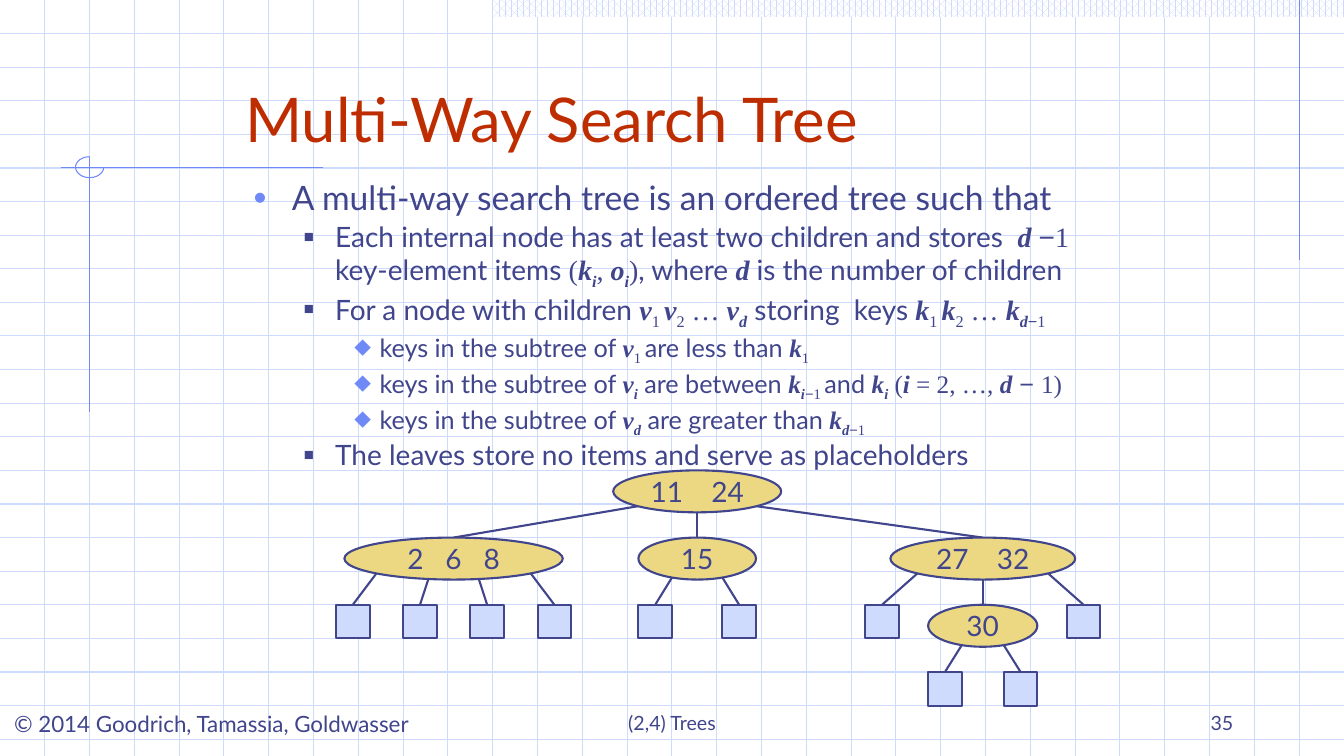
from math import sqrt
from pptx import Presentation
from pptx import util as u
from pptx.dml import color
from pptx.enum import dml, shapes, text
from pptx.oxml import xmlchemy as xc

COLS, ROWS = 160, 90
UNIT = u.Inches(1) // 12
INK, RED, BLUE, PALE, GOLD = "40458C", "BE2D00", "6F89F7", "CFDBFD", "ECD882"
SERIF = "Times New Roman"
# mark: font, bold italic, baseline shift, extra letter spacing in points
STYLES = {
    "t": ("Lato", False, 0, 0),
    "g": ("Lato", False, 0, 5),
    "m": (SERIF, False, 0, 0),
    "v": (SERIF, True, 0, 0),
    "a": ("Arial", False, 0, 0),
    "s": (SERIF, False, -25, 0),
    "w": (SERIF, True, -25, 0),
    "z": ("Arial", False, -25, 0),
}
# level: size, left indent, hanging indent, bullet, bullet colour, bullet size
LEVELS = [
    (24, 0.38, 0.38, "•", BLUE, 110),
    (20, 0.81, 0.31, "■", INK, 60),
    (18, 1.25, 0.25, "⬥", BLUE, 95),
]
# Each run starts with its style mark; "n" is a line break.
POINTS = [
    (0, "tA multi-way search tree is an ordered tree such that"),
    (1, "tEach internal node has at least two children and stores|g |vd |a−|m1|n|"
        "tkey-element items |m(|vk|wi|m, |vo|wi|m)|t, where |vd |"
        "tis the number of children"),
    (1, "tFor a node with children |vv|s1 |vv|s2|m … |vv|wd|t storing|g |tkeys |"
        "vk|s1 |vk|s2|m … |vk|wd|z−|s1"),
    (2, "tkeys in the subtree of |vv|s1 |tare less than |vk|s1"),
    (2, "tkeys in the subtree of |vv|wi|t are between |vk|wi|z−|s1 |tand |"
        "vk|wi|m (|vi|m = 2, …, |vd|a − |m1)"),
    (2, "tkeys in the subtree of |vv|wd|t are greater than |vk|wd|z−|s1"),
    (1, "tThe leaves store no items and serve as placeholders"),
]
# node: keys, key gap in points, centre, width, [(edge offset, child)]; a number is a leaf
TREE = (["11", "24"], 15, 43, 20, [
    (-7.07, (["2", "6", "8"], 10.5, 14, 26, [(-9.19, 2), (-3, 10), (3, 18), (9.19, 26)])),
    (0, (["15"], 0, 43, 14, [(-3, 38), (3, 48)])),
    (7.07, (["27", "32"], 15, 77, 22, [
        (-7.78, 65),
        (0, (["30"], 0, 77, 13, [(-2.5, 72.5), (2.5, 81.5)])),
        (7.78, 89),
    ])),
])
STEP, TALL, LEAF = 8, 5, 4


def rgb(code):
    return color.RGBColor.from_string(code)


def grid(*nums):
    """Grid units to lengths."""
    return [u.Emu(round(n * UNIT)) for n in nums]


def sub(node, tag, **attrs):
    """Append a drawing element to an XML node."""
    item = node.makeelement(xc.qn("a:" + tag), attrs)
    node.append(item)
    return item


def rule(slide, start, end, ink=BLUE, width=0.75):
    line = slide.shapes.add_connector(
        shapes.MSO_CONNECTOR.STRAIGHT, *grid(*start, *end))
    line.line.color.rgb = rgb(ink)
    line.line.width = u.Pt(width)
    sub(line.line._get_or_add_ln(), "round")
    sub(line._element.spPr, "effectLst")


def shape(slide, kind, box, fill=None, ink=None, width=1.5):
    item = slide.shapes.add_shape(kind, *grid(*box))
    item.shadow.inherit = False
    if fill:
        item.fill.solid()
        item.fill.fore_color.rgb = rgb(fill)
    else:
        item.fill.background()
    if ink:
        item.line.color.rgb = rgb(ink)
        item.line.width = u.Pt(width)
    else:
        item.line.fill.background()
    return item


def write(para, words, size, ink=INK, mark="t", gap=0):
    """Add one run in the style of its mark."""
    name, strong, base, space = STYLES[mark]
    run = para.add_run()
    run.text = words
    font = run.font
    font.name, font.size, font.bold, font.italic = name, u.Pt(size), strong, strong
    font.color.rgb = rgb(ink)
    props = run._r.get_or_add_rPr()
    if base:
        props.set("baseline", str(base * 1000))
    if gap or space:
        props.set("spc", str(round((gap or space) * 100)))


def frame(slide, box, wrap=True, anchor=text.MSO_ANCHOR.TOP):
    area = slide.shapes.add_textbox(*grid(*box)).text_frame
    area.word_wrap = wrap
    area.vertical_anchor = anchor
    return area


def label(slide, box, words, size, ink=INK, align=text.PP_ALIGN.LEFT,
          wrap=True, anchor=text.MSO_ANCHOR.BOTTOM):
    para = frame(slide, box, wrap, anchor).paragraphs[0]
    para.alignment = align
    write(para, words, size, ink)


def mesh(slide, box, cols=30, step=4):
    """Pale background lines."""
    left, top, wide, high = box
    for row in range(step, high, step):
        rule(slide, (left, top + row), (left + wide, top + row), PALE)
    for col in range(1, cols):
        x = left + wide * col / cols
        rule(slide, (x, top), (x, top + high), PALE)


def decor(slide, box):
    """Top band, corner rules and the small arc."""
    left, top, wide, _ = box
    band = shape(slide, shapes.MSO_SHAPE.RECTANGLE,
                 (left + wide * 0.367, top, wide * 0.633, 2))
    band.fill.patterned()
    band.fill.pattern = dml.MSO_PATTERN.PERCENT_60
    band.fill.fore_color.rgb = rgb(PALE)
    band.fill.back_color.rgb = rgb("FFFFFF")
    x, y = left + 10.67, top + 19.9
    rule(slide, (left + 154.67, top), (left + 154.67, top + 31))
    rule(slide, (left + 38.5, y), (left + 7.25, y))
    rule(slide, (x, y - 1.25), (x, y + 29.2))
    arc = shape(slide, shapes.MSO_SHAPE.ARC, (x - 1.68, y - 1.25, 3.36, 2.5),
                ink=BLUE, width=0.75)
    arc.adjustments[0], arc.adjustments[1] = 0, 162


def body(slide, box):
    area = frame(slide, box)
    for index, (level, line) in enumerate(POINTS):
        para = area.paragraphs[0] if index == 0 else area.add_paragraph()
        size, left, hang, sign, tint, scale = LEVELS[level]
        para.level = level
        para.line_spacing = 0.9
        if index:
            para.space_before = u.Pt(size * 0.2)
        props = para._p.get_or_add_pPr()
        props.set("marL", str(u.Inches(left)))
        props.set("indent", str(-u.Inches(hang)))
        sub(sub(props, "buClr"), "srgbClr", val=tint)
        sub(props, "buSzPct", val=str(scale * 1000))
        sub(props, "buFont", typeface="Arial")
        sub(props, "buChar", char=sign)
        for part in line.split("|"):
            if part == "n":
                para.add_line_break()
            else:
                write(para, part[1:], size, mark=part[0])


def tree(slide, box, node):
    """Draw a node and, one step lower, its children."""
    left, top, wide, high = box
    if not isinstance(node, tuple):
        shape(slide, shapes.MSO_SHAPE.RECTANGLE,
              (left + node - LEAF / 2, top, LEAF, LEAF), PALE, INK)
        return
    keys, gap, mid, width, kids = node
    for shift, kid in kids:
        drop = TALL / 2 * (1 + sqrt(1 - (2 * shift / width) ** 2))
        goal = kid[2] if isinstance(kid, tuple) else kid
        rule(slide, (left + mid + shift, top + drop), (left + goal, top + STEP), INK, 1.5)
        tree(slide, (left, top + STEP, wide, high - STEP), kid)
    oval = shape(slide, shapes.MSO_SHAPE.OVAL,
                 (left + mid - width / 2, top, width, TALL), GOLD, INK)
    area = oval.text_frame
    area.word_wrap = False
    area.vertical_anchor = text.MSO_ANCHOR.MIDDLE
    para = area.paragraphs[0]
    para.alignment = text.PP_ALIGN.CENTER
    for index, key in enumerate(keys):
        if index:
            write(para, " ", 20, gap=gap)
        write(para, key, 20)


def footer(slide, box):
    left, top, wide, high = box
    label(slide, (left + 0.5, top + 2, 50.6, 4.4), "© 2014 Goodrich, Tamassia, Goldwasser",
          16, wrap=False, anchor=text.MSO_ANCHOR.TOP)
    label(slide, (left + 54.67, top, 50.67, high), "(2,4) Trees", 14,
          align=text.PP_ALIGN.CENTER)
    label(slide, (left + wide - 45.33, top, 33.33, high), "35", 14, align=text.PP_ALIGN.RIGHT)


deck = Presentation()
deck.slide_width, deck.slide_height = grid(COLS, ROWS)
page = deck.slides.add_slide(deck.slide_layouts[6])
mesh(page, (0, 0, COLS, ROWS))
decor(page, (0, 0, COLS, ROWS))
footer(page, (0, 82, COLS, 6))
label(page, (28, 4, 107, 15), "Multi-Way Search Tree", 44, RED)
body(page, (29, 21, 106, 36))
tree(page, (40, 56, 91, 28), TREE)
deck.save("out.pptx")
